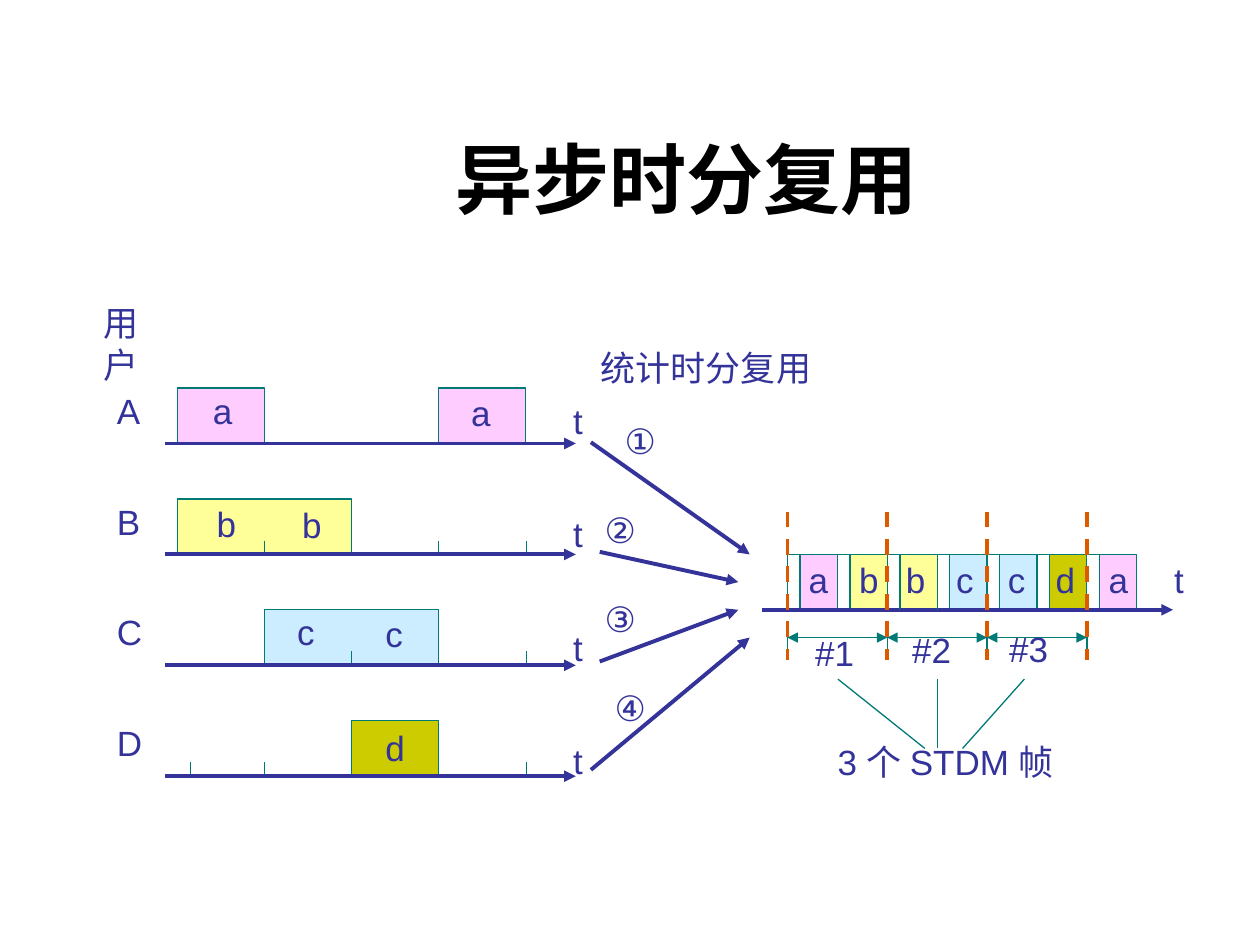
from pptx import Presentation
from pptx.dml.color import RGBColor
from pptx.enum.dml import MSO_LINE_DASH_STYLE as Dash
from pptx.enum.shapes import MSO_CONNECTOR as Conn
from pptx.enum.text import MSO_ANCHOR as Anchor, MSO_AUTO_SIZE as Fit, PP_ALIGN as Align
from pptx.oxml.ns import qn
from pptx.util import Inches, Pt
from lxml.etree import SubElement

INK, TEAL, ORANGE = "333399", "007A77", "DC5900"
FILLS = {"a": "FFCCFF", "b": "FFFF99", "c": "CCECFF", "d": "CCCC00"}
WIDTHS = {"a": 0.35, "b": 0.35, "c": 0.34, "d": 0.35}

SLOT_X, SLOT_W = 1.41, 0.69     # time slots of the four users
ROW_Y, ROW_GAP = 3.52, 0.88     # time axes of the four users
CELL_H, TICK_H = 0.44, 0.11
MUX_X, MUX_Y, PAIR_W, GAP_W = 6.25, 4.84, 0.396, 0.1
FRAME_W = 2 * PAIR_W

# Per user: name, name width, blocks (slot, slots, kind), letters, ticks
USERS = [
    ("A", 0.38, [(0, 1, "a"), (3, 1, "a")],
     [("a", 1.59, 3.04), ("a", 3.64, 3.06)], []),
    ("B", 0.38, [(0, 2, "b")],
     [("b", 1.62, 3.94), ("b", 2.3, 3.95)], [2.1, 3.48, 4.18]),
    ("C", 0.4, [(1, 2, "c")],
     [("c", 2.26, 4.8), ("c", 2.96, 4.81)], [2.79, 4.18]),
    ("D", 0.4, [(2, 1, "d")],
     [("d", 2.96, 5.72)], [1.51, 2.1, 4.18]),
]
MUX = [("a", 6.32), ("b", 6.72), ("b", 7.09), ("c", 7.49),
       ("c", 7.9), ("d", 8.28), ("a", 8.7)]
# Number, its left and top, then the arrow from the user to the line
FLOWS = [
    ("①", 4.86, 3.28, 4.69, 3.51, 5.95, 4.4),
    ("②", 4.7, 3.99, 4.76, 4.38, 5.86, 4.62),
    ("③", 4.7, 4.69, 4.76, 5.25, 5.86, 4.84),
    ("④", 4.78, 5.4, 4.69, 6.11, 5.95, 5.06),
]
# Frame name, its left and top, then the pointer's top and bottom x
FRAMES = [("#1", 6.37, 4.96, 6.65, 7.34), ("#2", 7.14, 4.94, 7.44, 7.44),
          ("#3", 7.91, 4.93, 8.13, 7.64)]


def color(code):
    return RGBColor.from_string(code)


def label(slide, text, x, y, w):
    box = slide.shapes.add_textbox(Inches(x), Inches(y), Inches(w), Inches(0.44))
    frame = box.text_frame
    frame.word_wrap = False
    frame.auto_size = Fit.SHAPE_TO_FIT_TEXT
    para = frame.paragraphs[0]
    para.text = text
    para.font.name, para.font.size = "Arial", Pt(20)
    para.font.color.rgb = color(INK)


def title(slide, text):
    box = slide.shapes.add_textbox(Inches(1.26), Inches(0.23), Inches(8.52), Inches(1.6))
    frame = box.text_frame
    frame.word_wrap = True
    frame.vertical_anchor = Anchor.BOTTOM
    para = frame.paragraphs[0]
    para.text, para.alignment = text, Align.CENTER
    para.font.name, para.font.size, para.font.bold = "Arial", Pt(44), True
    para.font.color.rgb = color("000000")


def line(slide, x1, y1, x2, y2, code=TEAL, width=0.75, ends=()):
    """Straight line; ends names the ends that carry an arrowhead."""
    rule = slide.shapes.add_connector(
        Conn.STRAIGHT, Inches(x1), Inches(y1), Inches(x2), Inches(y2))
    rule.line.color.rgb, rule.line.width = color(code), Pt(width)
    for end in ends:
        SubElement(rule.line._get_or_add_ln(), qn(f"a:{end}"), type="triangle")
    SubElement(rule._element.spPr, qn("a:effectLst"))
    return rule


def arrow(slide, x1, y1, x2, y2):
    line(slide, x1, y1, x2, y2, INK, 2.25, ["tailEnd"])


def tick(slide, x, y):
    line(slide, x, y - TICK_H, x, y)


def block(slide, x, base, w, fill=None):
    """Outline standing on an axis, open at the bottom."""
    left, right = Inches(x), Inches(x + w)
    top, foot = Inches(base - CELL_H), Inches(base)
    path = slide.shapes.build_freeform(left, foot)
    path.add_line_segments([(left, top), (right, top), (right, foot)], close=False)
    shape = path.convert_to_shape()
    shape.shadow.inherit = False
    shape.line.color.rgb, shape.line.width = color(TEAL), Pt(0.75)
    if fill:
        shape.fill.solid()
        shape.fill.fore_color.rgb = color(fill)
    else:
        shape.fill.background()


def users(slide):
    label(slide, "用户", 0.72, 2.34, 0.75)
    for row, (name, width, blocks, letters, ticks) in enumerate(USERS):
        y = ROW_Y + row * ROW_GAP
        label(slide, name, 0.83, y - 0.48, width)
        for slot, count, kind in blocks:
            block(slide, SLOT_X + slot * SLOT_W, y, count * SLOT_W, FILLS[kind])
        for x in ticks:
            tick(slide, x, y)
        for kind, x, top in letters:
            label(slide, kind, x, top, WIDTHS[kind])
        label(slide, "t", 4.45, 3.12 + row * 0.9, 0.27)
        arrow(slide, 1.31, y, 4.57, y)


def flows(slide):
    label(slide, "统计时分复用", 4.67, 2.7, 1.87)
    for number, x, y, *ends in FLOWS:
        arrow(slide, *ends)
        label(slide, number, x, y, 0.45)


def mux(slide):
    for i, (kind, _) in enumerate(MUX):
        x = MUX_X + i * PAIR_W
        block(slide, x + GAP_W, MUX_Y, PAIR_W - GAP_W, FILLS[kind])
        block(slide, x, MUX_Y, GAP_W)
    arrow(slide, 6.05, MUX_Y, 9.31, MUX_Y)
    for x in (7.14, 7.44, 8.62):
        tick(slide, x, MUX_Y)
    for kind, x in MUX:
        label(slide, kind, x, 4.38, WIDTHS[kind])
    label(slide, "t", 9.22, 4.38, 0.27)


def frames(slide):
    for i, (name, left, top, start, end) in enumerate(FRAMES):
        x = MUX_X + i * FRAME_W
        line(slide, x, 5.06, x + FRAME_W, 5.06, ends=["headEnd", "tailEnd"])
        label(slide, name, left, top, 0.51)
        line(slide, start, 5.39, end, 5.94)
    label(slide, "3 个 STDM 帧", 6.55, 5.83, 2.11)
    for i in range(len(FRAMES) + 1):
        x = MUX_X + i * FRAME_W
        line(slide, x, 4.95, x, 5.17)
        edge = line(slide, x, 4.06, x, 5.24, ORANGE, 2.25)
        edge.line.dash_style = Dash.DASH


def main():
    deck = Presentation()
    deck.slide_width, deck.slide_height = Inches(10), Inches(7.5)
    slide = deck.slides.add_slide(deck.slide_layouts[6])
    title(slide, "异步时分复用 ")
    users(slide)
    flows(slide)
    mux(slide)
    frames(slide)
    deck.save("out.pptx")


if __name__ == "__main__":
    main()
